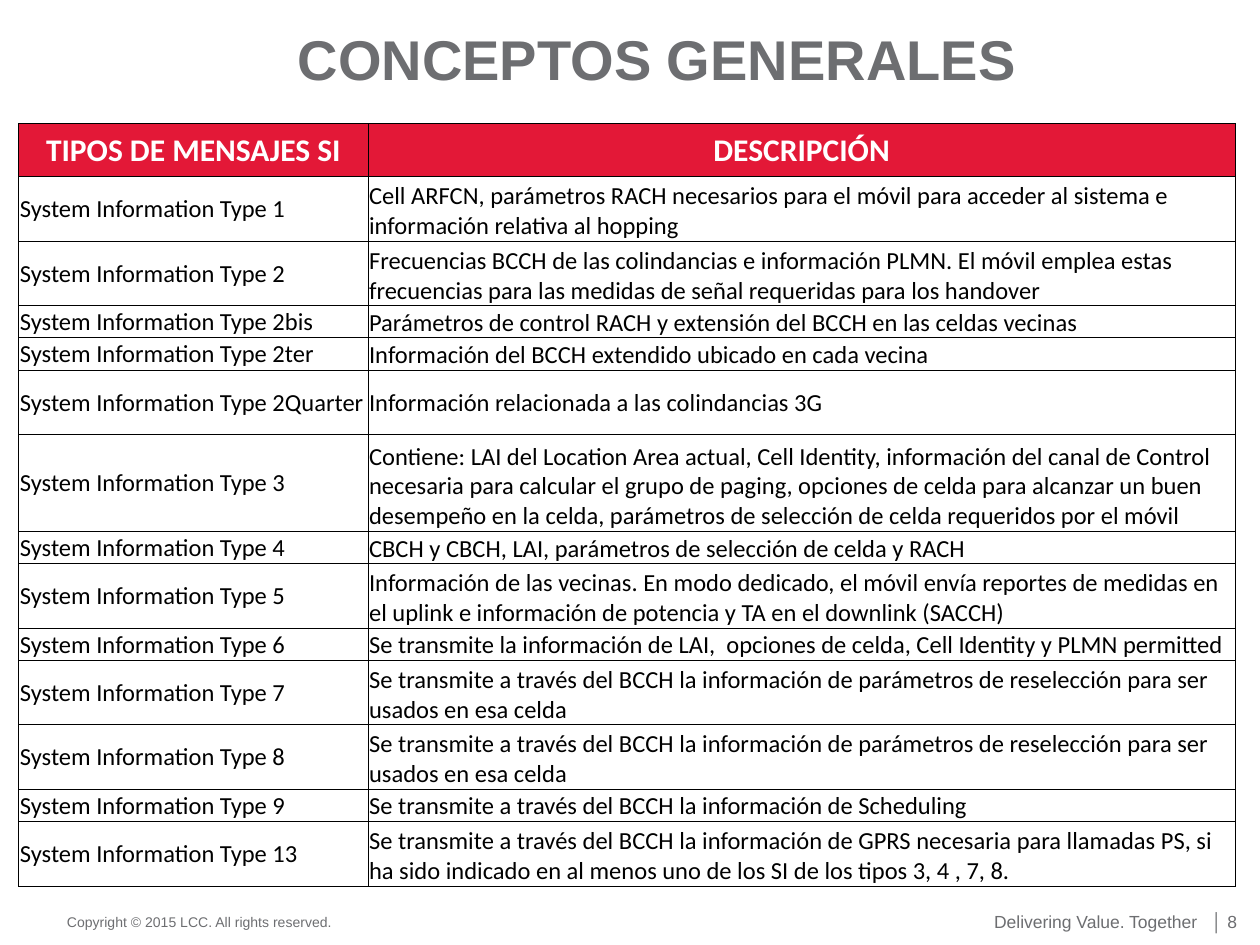
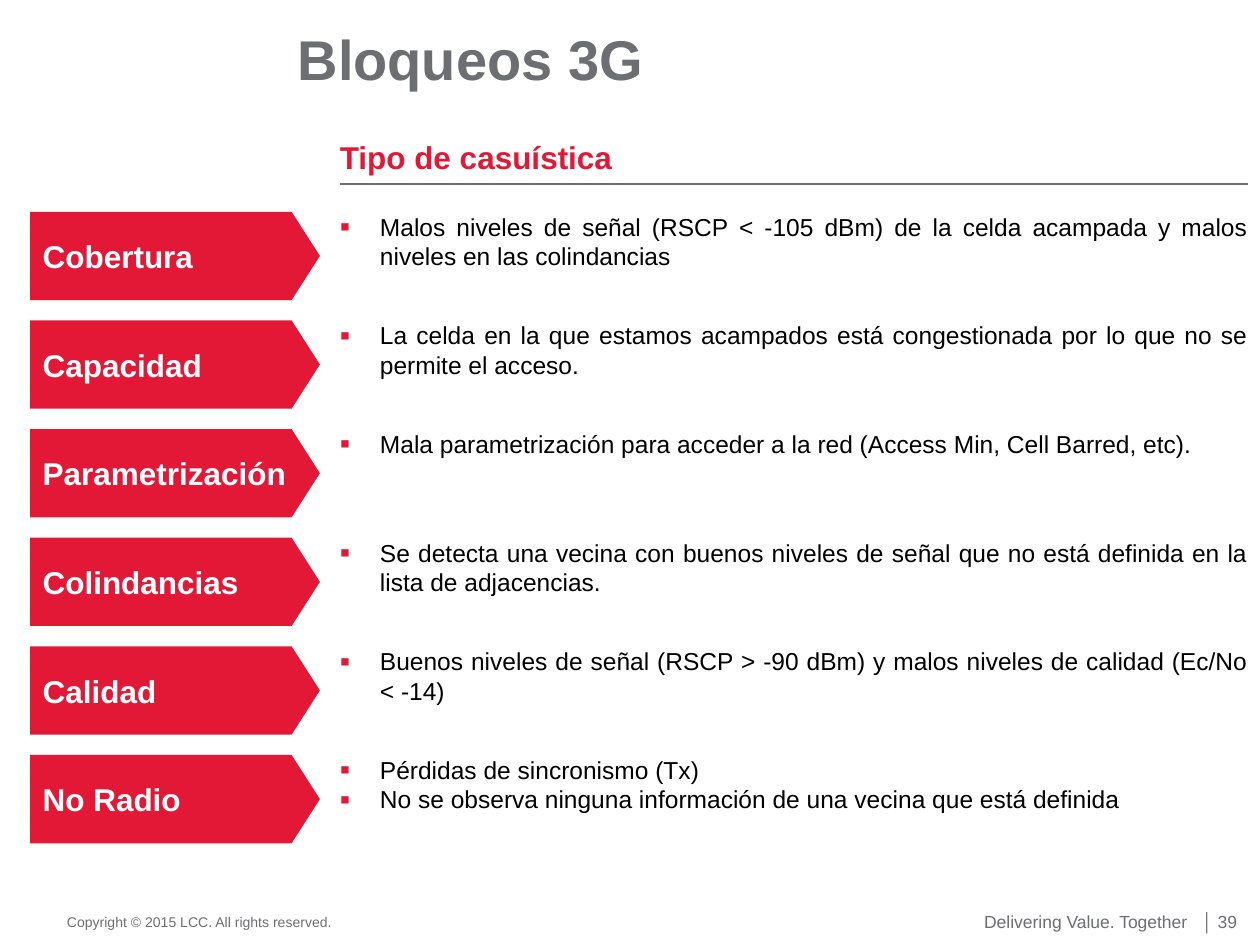
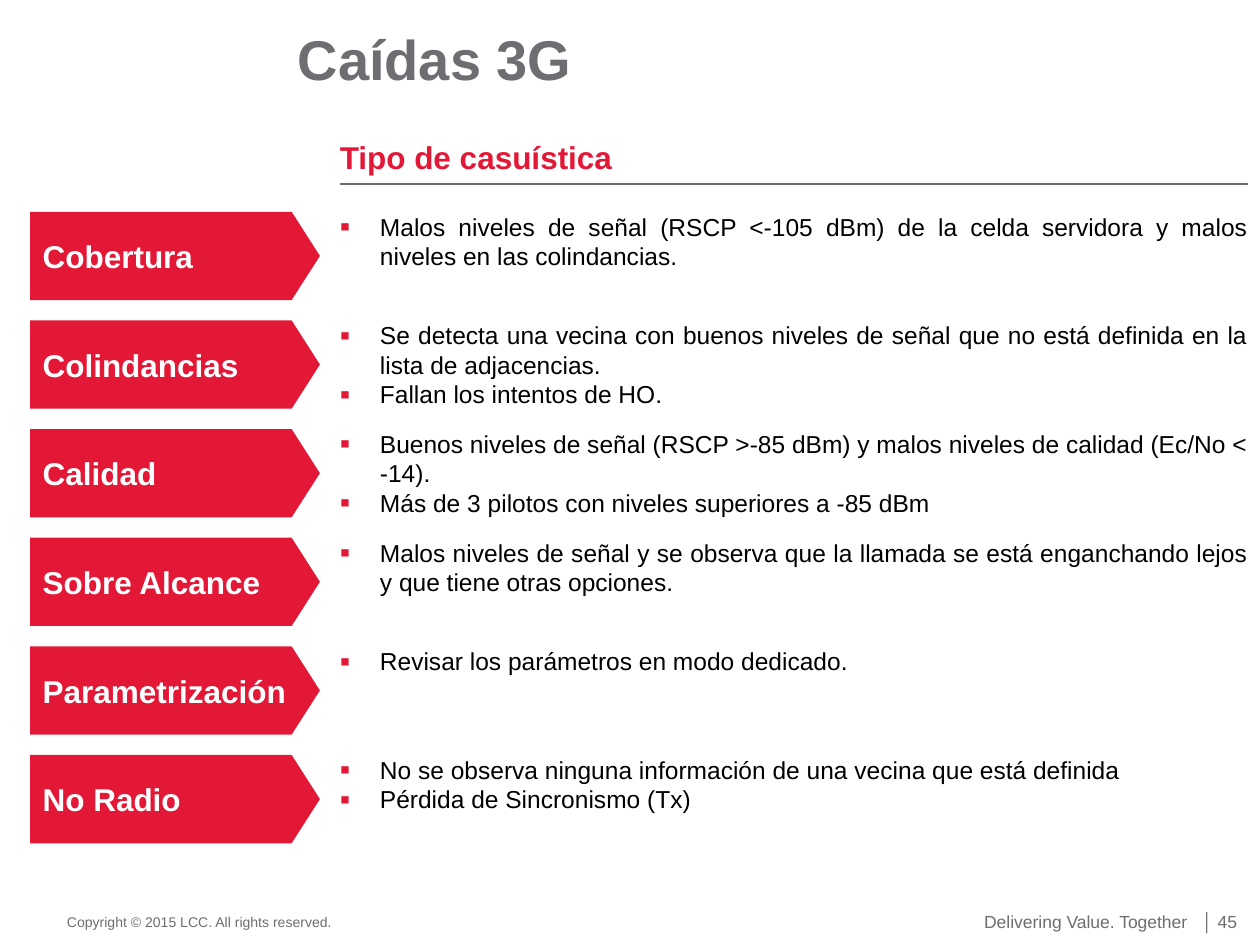
from lxml.etree import SubElement
from pptx import Presentation
from pptx.dml.color import RGBColor
from pptx.enum.shapes import MSO_CONNECTOR, MSO_SHAPE
from pptx.enum.text import MSO_ANCHOR, MSO_AUTO_SIZE, PP_ALIGN
from pptx.oxml import parse_xml
from pptx.oxml.ns import nsdecls, qn
from pptx.util import Cm, Pt

RED = "E31837"
GREY = "6D6E71"
BLACK = "000000"
WHITE = "FFFFFF"

COPYRIGHT = "Copyright © 2015 LCC. All rights reserved."
SLOGAN = "Delivering Value. Together"
CASES_HEADING = "Tipo de casuística"

MESSAGES_TITLE = "CONCEPTOS GENERALES"
MESSAGES_PAGE = 8
MESSAGES_HEADER = ("TIPOS DE MENSAJES SI", "DESCRIPCIÓN")
MESSAGE_PREFIX = "System Information Type "
MESSAGES = [
    ("1", 2, "Cell ARFCN, parámetros RACH necesarios para el móvil para acceder al sistema e información relativa al hopping"),
    ("2", 2, "Frecuencias BCCH de las colindancias e información PLMN. El móvil emplea estas frecuencias para las medidas de señal requeridas para los handover"),
    ("2bis", 1, "Parámetros de control RACH y extensión del BCCH en las celdas vecinas"),
    ("2ter", 1, "Información del BCCH extendido ubicado en cada vecina"),
    ("2Quarter", 2, "Información relacionada a las colindancias 3G"),
    ("3", 3, "Contiene: LAI del Location Area actual, Cell Identity, información del canal de Control necesaria para calcular el grupo de paging, opciones de celda para alcanzar un buen desempeño en la celda, parámetros de selección de celda requeridos por el móvil"),
    ("4", 1, "CBCH y CBCH, LAI, parámetros de selección de celda y RACH"),
    ("5", 2, "Información de las vecinas. En modo dedicado, el móvil envía reportes de medidas en el uplink e información de potencia y TA en el downlink (SACCH)"),
    ("6", 1, "Se transmite la información de LAI,  opciones de celda, Cell Identity y PLMN permitted"),
    ("7", 2, "Se transmite a través del BCCH la información de parámetros de reselección para ser usados en esa celda"),
    ("8", 2, "Se transmite a través del BCCH la información de parámetros de reselección para ser usados en esa celda"),
    ("9", 1, "Se transmite a través del BCCH la información de Scheduling"),
    ("13", 2, "Se transmite a través del BCCH la información de GPRS necesaria para llamadas PS, si ha sido indicado en al menos uno de los SI de los tipos 3, 4 , 7, 8."),
]
CENTERED_DESCRIPTIONS = {"2Quarter"}

CASE_SLIDES = [
    ("Bloqueos 3G", 39, [
        ("Cobertura", ["Malos niveles de señal (RSCP < -105 dBm) de la celda acampada y malos niveles en las colindancias"]),
        ("Capacidad", ["La celda en la que estamos acampados está congestionada por lo que no se permite el acceso."]),
        ("Parametrización", ["Mala parametrización para acceder a la red (Access Min, Cell Barred, etc)."]),
        ("Colindancias", ["Se detecta una vecina con buenos niveles de señal que no está definida en la lista de adjacencias."]),
        ("Calidad", ["Buenos niveles de señal (RSCP > -90 dBm) y malos niveles de calidad (Ec/No < -14)"]),
        ("No Radio", ["Pérdidas de sincronismo (Tx)",
                      "No se observa ninguna información de una vecina que está definida"]),
    ]),
    ("Caídas 3G", 45, [
        ("Cobertura", ["Malos niveles de señal (RSCP <-105 dBm) de la celda servidora y malos niveles en las colindancias."]),
        ("Colindancias", ["Se detecta una vecina con buenos niveles de señal que no está definida en la lista de adjacencias.",
                          "Fallan los intentos de HO."]),
        ("Calidad", ["Buenos niveles de señal (RSCP >-85 dBm) y malos niveles de calidad (Ec/No < -14).",
                     "Más de 3 pilotos con niveles superiores a -85 dBm"]),
        ("Sobre Alcance", ["Malos niveles de señal y se observa que la llamada se está enganchando lejos y que tiene otras opciones."]),
        ("Parametrización", ["Revisar los parámetros en modo dedicado."]),
        ("No Radio", ["No se observa ninguna información de una vecina que está definida",
                      "Pérdida de Sincronismo (Tx)"]),
    ]),
]

HEADER_HEIGHT = 1.07
LINE_HEIGHT = 0.65
COLUMN_WIDTHS = (7.04, 17.48)
CASES_TOP = 4.27
CASE_PITCH = 2.19
DETAIL_LEFT = 6.85
DETAIL_WIDTH = 18.31
BULLET_INDENT = 0.81
FOOTER_EDGE = 5.33
DIGIT_WIDTH = 0.2


def color(value):
    return RGBColor.from_string(value)


def write(frame, text, size=14, font="Arial", ink=BLACK, bold=False,
          align=PP_ALIGN.LEFT, bullet=False, tabs=()):
    for index, line in enumerate([text] if isinstance(text, str) else text):
        paragraph = frame.paragraphs[0] if index == 0 else frame.add_paragraph()
        paragraph.alignment = align
        properties = paragraph._p.get_or_add_pPr()
        if bullet:
            properties.set("marL", str(Cm(BULLET_INDENT)))
            properties.set("indent", str(-Cm(BULLET_INDENT)))
            SubElement(SubElement(properties, qn("a:buClr")), qn("a:srgbClr"), val=RED)
            SubElement(properties, qn("a:buSzPct"), val="120000")
            SubElement(properties, qn("a:buFont"), typeface=font)
            SubElement(properties, qn("a:buChar"), char="▪")
        if tabs:
            stops = SubElement(properties, qn("a:tabLst"))
            for stop in tabs:
                SubElement(stops, qn("a:tab"), pos=str(Cm(stop)), algn="r")
        run = paragraph.add_run()
        run.text = line
        run.font.size = Pt(size)
        run.font.name = font
        run.font.bold = bold
        run.font.color.rgb = color(ink)


def add_text(slide, text, left, top, width, height, anchor=MSO_ANCHOR.TOP, **style):
    frame = slide.shapes.add_textbox(Cm(left), Cm(top), Cm(width), Cm(height)).text_frame
    frame.margin_left = frame.margin_right = frame.margin_top = frame.margin_bottom = 0
    frame.word_wrap = True
    frame.auto_size = MSO_AUTO_SIZE.SHAPE_TO_FIT_TEXT
    frame.vertical_anchor = anchor
    write(frame, text, **style)


def add_slide(deck, title, page):
    slide = deck.slides.add_slide(deck.slide_layouts[6])
    slogan_edge = 4.52 - DIGIT_WIDTH * (len(str(page)) - 1)
    add_text(slide, f"\t{SLOGAN}\t│ {page}", 19.61, 18.36, 5.5, 0.43,
             anchor=MSO_ANCHOR.MIDDLE, size=10, ink=GREY, tabs=(slogan_edge, FOOTER_EDGE))
    add_text(slide, COPYRIGHT, 1.35, 18.42, 6, 0.33, size=8, ink=GREY)
    add_text(slide, title, 6, 0.5, 18.15, 1.37, size=32, ink=GREY, bold=True)
    return slide


def format_cell(cell, text, fill, anchor, **style):
    cell.margin_left = cell.margin_right = cell.margin_top = Cm(0.02)
    cell.margin_bottom = 0
    cell.vertical_anchor = anchor
    properties = cell._tc.get_or_add_tcPr()
    for side in ("lnL", "lnR", "lnT", "lnB"):
        properties.append(parse_xml(
            f'<a:{side} {nsdecls("a")} w="{Pt(0.5)}"><a:solidFill>'
            f'<a:srgbClr val="{BLACK}"/></a:solidFill></a:{side}>'))
    cell.fill.solid()
    cell.fill.fore_color.rgb = color(fill)
    write(cell.text_frame, text, font="Calibri", **style)


def add_messages(slide):
    heights = [HEADER_HEIGHT] + [LINE_HEIGHT * lines for _, lines, _ in MESSAGES]
    table = slide.shapes.add_table(len(heights), len(COLUMN_WIDTHS), Cm(0.38), Cm(2.49),
                                   Cm(sum(COLUMN_WIDTHS)), Cm(sum(heights))).table
    table.first_row = table.horz_banding = False
    for column, width in zip(table.columns, COLUMN_WIDTHS):
        column.width = Cm(width)
    for row, height in zip(table.rows, heights):
        row.height = Cm(height)
    for column, heading in enumerate(MESSAGES_HEADER):
        format_cell(table.cell(0, column), heading, RED, MSO_ANCHOR.MIDDLE,
                    size=18, ink=WHITE, bold=True, align=PP_ALIGN.CENTER)
    for row, (kind, _, description) in enumerate(MESSAGES, start=1):
        anchor = MSO_ANCHOR.MIDDLE if kind in CENTERED_DESCRIPTIONS else MSO_ANCHOR.BOTTOM
        format_cell(table.cell(row, 0), MESSAGE_PREFIX + kind, WHITE, MSO_ANCHOR.MIDDLE)
        format_cell(table.cell(row, 1), description, WHITE, anchor)


def add_cases(slide, cases):
    add_text(slide, CASES_HEADING, DETAIL_LEFT, 2.79, 17.65, 0.76, size=18, ink=RED, bold=True)
    rule = slide.shapes.add_connector(MSO_CONNECTOR.STRAIGHT, Cm(DETAIL_LEFT), Cm(3.71),
                                      Cm(DETAIL_LEFT + DETAIL_WIDTH), Cm(3.71))
    rule.line.color.rgb = color(GREY)
    rule.line.width = Pt(0.75)
    SubElement(rule._element.spPr, qn("a:effectLst"))
    for index, (cause, details) in enumerate(cases):
        top = CASES_TOP + CASE_PITCH * index
        arrow = slide.shapes.add_shape(MSO_SHAPE.PENTAGON, Cm(0.61), Cm(top), Cm(5.84), Cm(1.78))
        arrow.adjustments[0] = 0.32
        arrow.shadow.inherit = False
        arrow.fill.solid()
        arrow.fill.fore_color.rgb = color(RED)
        arrow.line.fill.background()
        arrow.text_frame.vertical_anchor = MSO_ANCHOR.MIDDLE
        write(arrow.text_frame, cause, size=18, ink=WHITE, bold=True)
        add_text(slide, details, DETAIL_LEFT, top, DETAIL_WIDTH, 1.2,
                 align=PP_ALIGN.JUSTIFY, bullet=True)


def main():
    deck = Presentation()
    deck.slide_width, deck.slide_height = Cm(25.4), Cm(19.05)
    add_messages(add_slide(deck, MESSAGES_TITLE, MESSAGES_PAGE))
    for title, page, cases in CASE_SLIDES:
        add_cases(add_slide(deck, title, page), cases)
    deck.save("out.pptx")


if __name__ == "__main__":
    main()
